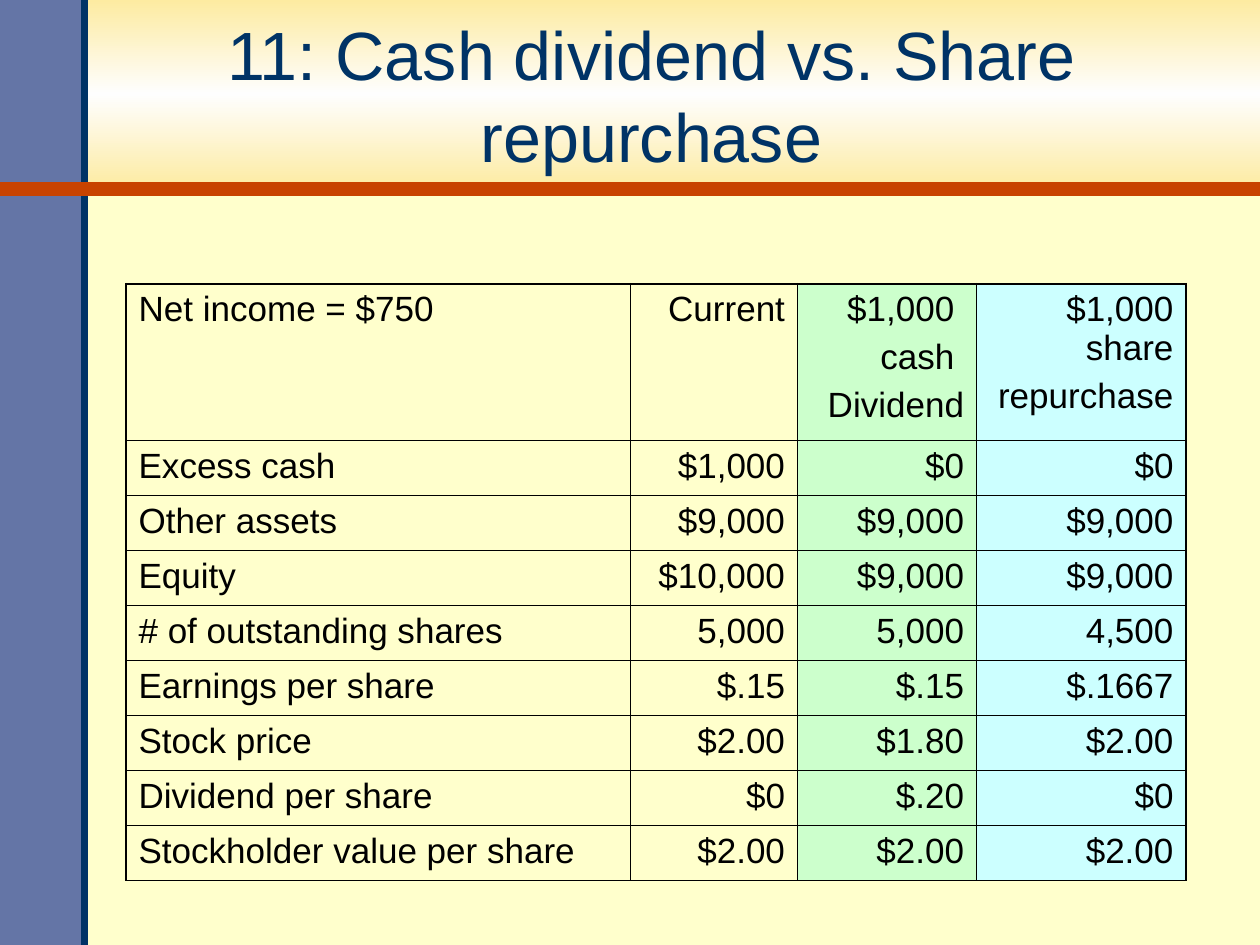
from copy import deepcopy

from pptx import Presentation
from pptx.dml.color import RGBColor
from pptx.enum.shapes import MSO_CONNECTOR, MSO_SHAPE
from pptx.enum.text import MSO_ANCHOR, PP_ALIGN
from pptx.oxml import parse_xml
from pptx.oxml.ns import nsdecls, qn
from pptx.util import Cm, Pt

RECTANGLE = MSO_SHAPE.RECTANGLE
STRAIGHT = MSO_CONNECTOR.STRAIGHT
MIDDLE = MSO_ANCHOR.MIDDLE
LEFT, CENTER, RIGHT = PP_ALIGN.LEFT, PP_ALIGN.CENTER, PP_ALIGN.RIGHT

CREAM = RGBColor(0xFF, 0xFF, 0xCC)
GOLD = RGBColor(0xFD, 0xEB, 0xA1)
WHITE = RGBColor(0xFE, 0xFE, 0xFE)
SLATE = RGBColor(0x64, 0x75, 0xA6)
NAVY = RGBColor(0x00, 0x33, 0x66)
RUST = RGBColor(0xC8, 0x43, 0x00)
BLACK = RGBColor(0x00, 0x00, 0x00)
GREEN = RGBColor(0xCC, 0xFF, 0xCC)
AQUA = RGBColor(0xCC, 0xFF, 0xFF)

FONT = "Arial"
PAGE_WIDTH, PAGE_HEIGHT = Cm(25.4), Cm(19.05)
SIDEBAR_WIDTH, BANNER_HEIGHT = Cm(1.7), Cm(3.81)
OUTER_BORDER, INNER_BORDER = Pt(1.08), Pt(0.45)

COLUMN_WIDTHS = [Cm(10.16), Cm(3.38), Cm(3.61), Cm(4.22)]
COLUMN_FILLS = [None, None, GREEN, AQUA]
HEADER_HEIGHT, ROW_HEIGHT = Cm(3.15), Cm(1.11)
ROWS = [
    ["Net income = $750", "Current", "$1,000 \ncash \nDividend", "$1,000 share\nrepurchase"],
    ["Excess cash", "$1,000", "$0", "$0"],
    ["Other assets", "$9,000", "$9,000", "$9,000"],
    ["Equity", "$10,000", "$9,000", "$9,000"],
    ["# of outstanding shares", "5,000", "5,000", "4,500"],
    ["Earnings per share", "$.15", "$.15", "$.1667"],
    ["Stock price", "$2.00", "$1.80", "$2.00"],
    ["Dividend per share", "$0", "$.20", "$0"],
    ["Stockholder value per share", "$2.00", "$2.00", "$2.00"],
]


def write_text(frame, text, size, color, align, gap=0):
    frame.text = text
    for index, paragraph in enumerate(frame.paragraphs):
        paragraph.alignment = align
        if index:
            paragraph.space_before = Pt(gap)
        paragraph.font.name = FONT
        paragraph.font.size = Pt(size)
        paragraph.font.color.rgb = color


def add_panel(page, left, top, width, height):
    panel = page.shapes.add_shape(RECTANGLE, left, top, width, height)
    panel.shadow.inherit = False
    panel.line.fill.background()
    return panel


def add_rule(page, start, end, color, weight):
    rule = page.shapes.add_connector(STRAIGHT, *start, *end)
    rule.line.color.rgb = color
    rule.line.width = Pt(weight)
    rule.element.spPr.append(parse_xml(f"<a:effectLst {nsdecls('a')}/>"))


def add_backdrop(page, left, top, width, height):
    banner = add_panel(page, left, top, width, BANNER_HEIGHT)
    banner.fill.gradient()
    banner.fill.gradient_angle = 90
    stop_list = banner.element.spPr.find(".//" + qn("a:gsLst"))
    stop_list.append(deepcopy(stop_list[0]))
    colors = [(0, GOLD), (0.5, WHITE), (1, GOLD)]
    for stop, (position, color) in zip(banner.fill.gradient_stops, colors):
        stop.position = position
        stop.color.rgb = color

    sidebar = add_panel(page, left, top, SIDEBAR_WIDTH, height)
    sidebar.fill.solid()
    sidebar.fill.fore_color.rgb = SLATE

    edge, base = left + SIDEBAR_WIDTH, top + BANNER_HEIGHT
    add_rule(page, (edge, top + height), (edge, top), NAVY, 4)
    add_rule(page, (left, base), (left + width, base), RUST, 8)


def add_title(page, left, top, width, height):
    box = page.shapes.add_textbox(left, top, width, height)
    frame = box.text_frame
    frame.word_wrap = True
    frame.vertical_anchor = MIDDLE
    write_text(frame, "11: Cash dividend vs. Share repurchase", 39, NAVY, CENTER)


def set_borders(cell, outer_sides):
    properties = cell._tc.get_or_add_tcPr()
    for side in "LRTB":
        width = OUTER_BORDER if side in outer_sides else INNER_BORDER
        properties.append(parse_xml(
            f'<a:ln{side} {nsdecls("a")} w="{width}">'
            f'<a:solidFill><a:srgbClr val="{BLACK}"/></a:solidFill></a:ln{side}>'
        ))


def add_comparison_table(page, left, top):
    heights = [HEADER_HEIGHT] + [ROW_HEIGHT] * (len(ROWS) - 1)
    table = page.shapes.add_table(
        len(ROWS), len(COLUMN_WIDTHS), left, top, sum(COLUMN_WIDTHS), sum(heights)
    ).table
    table.first_row = False
    table.horz_banding = False
    for column, width in zip(table.columns, COLUMN_WIDTHS):
        column.width = width

    last_row, last_column = len(ROWS) - 1, len(COLUMN_WIDTHS) - 1
    for row_index, values in enumerate(ROWS):
        table.rows[row_index].height = heights[row_index]
        for column_index, value in enumerate(values):
            cell = table.cell(row_index, column_index)
            align = RIGHT if column_index else LEFT
            write_text(cell.text_frame, value, 20, BLACK, align, gap=5)
            edges = {
                "L": column_index == 0,
                "R": column_index == last_column,
                "T": row_index == 0,
                "B": row_index == last_row,
            }
            set_borders(cell, [side for side, outer in edges.items() if outer])
            color = COLUMN_FILLS[column_index]
            if color is None:
                cell.fill.background()
            else:
                cell.fill.solid()
                cell.fill.fore_color.rgb = color


def main():
    deck = Presentation()
    deck.slide_width, deck.slide_height = PAGE_WIDTH, PAGE_HEIGHT
    page = deck.slides.add_slide(deck.slide_layouts[6])
    page.background.fill.solid()
    page.background.fill.fore_color.rgb = CREAM
    add_backdrop(page, 0, 0, PAGE_WIDTH, PAGE_HEIGHT)
    add_title(page, Cm(1.65), Cm(0.38), Cm(22.96), Cm(3.05))
    add_comparison_table(page, Cm(2.54), Cm(5.72))
    deck.save("out.pptx")


if __name__ == "__main__":
    main()
